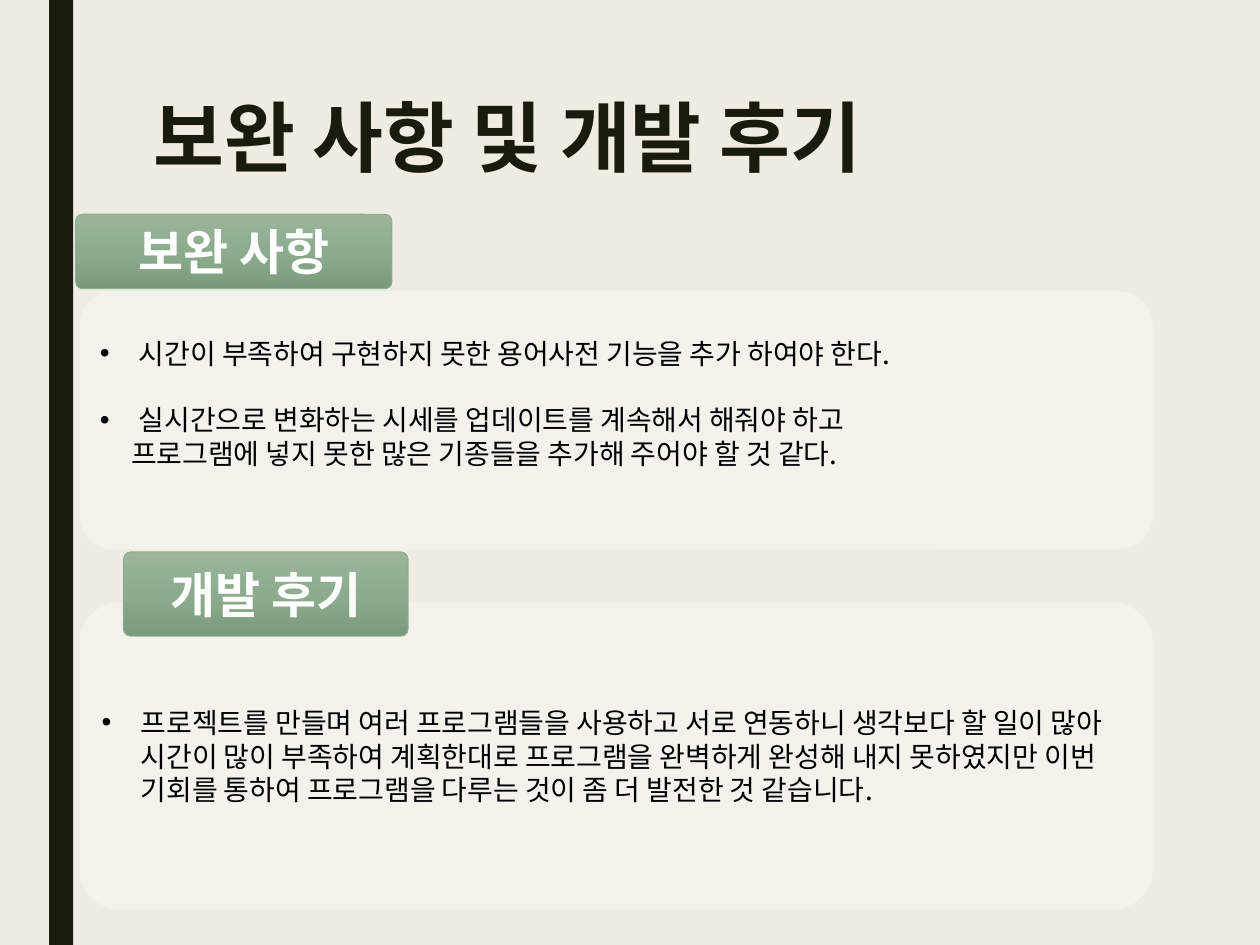
from copy import deepcopy

from pptx import Presentation
from pptx.dml.color import RGBColor
from pptx.enum.shapes import MSO_SHAPE
from pptx.enum.text import MSO_ANCHOR, PP_ALIGN
from pptx.oxml.ns import qn
from pptx.oxml.xmlchemy import OxmlElement
from pptx.util import Inches, Pt

RECT, ROUND = MSO_SHAPE.RECTANGLE, MSO_SHAPE.ROUNDED_RECTANGLE
TOP, MIDDLE = MSO_ANCHOR.TOP, MSO_ANCHOR.MIDDLE
LEFT, CENTER = PP_ALIGN.LEFT, PP_ALIGN.CENTER
FONT = "Noto Sans CJK KR"
BACK, DARK, WHITE, BLACK = "EFEDE3", "191B0E", "FFFFFF", "000000"
GREENS, GREEN_LINE = ("9BB59B", "8CAC8D", "7A9B7B"), "8DAB8E"
PANEL_LEFT, PANEL_WIDTH = 0.61, 8.56
BODY_SIZE, BODY_LINE, INDENT = 16, 19, 0.31


def rgb(value):
    """Turn a hex string into a colour."""
    return RGBColor.from_string(value)


def add_child(parent, tag, **attributes):
    """Append an XML element with the given attributes."""
    child = OxmlElement(tag)
    for name, value in attributes.items():
        child.set(name, str(value))
    parent.append(child)
    return child


def set_font(p, size, color, bold=False):
    """Set the paragraph's font for Latin and Korean text."""
    f = p.font
    f.size, f.bold, f.name = Pt(size), bold, FONT
    f.color.rgb = rgb(color)
    add_child(p._p.pPr.find(qn("a:defRPr")), "a:ea", typeface=FONT)


def add_box(s, kind, box, fill=None, line=None, width=0):
    """Add a shape without shadow, with an optional fill and outline."""
    sp = s.shapes.add_shape(kind, *(Inches(v) for v in box))
    sp.shadow.inherit = False
    if fill:
        sp.fill.solid()
        sp.fill.fore_color.rgb = rgb(fill)
    if line:
        sp.line.color.rgb = rgb(line)
        sp.line.width = Pt(width)
    else:
        sp.line.fill.background()
    return sp


def add_title(s, text):
    """Add the slide title."""
    tf = s.shapes.add_textbox(*(Inches(v) for v in (1.12, 0.75, 7.88, 1.62))).text_frame
    tf.word_wrap, tf.vertical_anchor = True, TOP
    p = tf.paragraphs[0]
    p.text, p.line_spacing = text, 0.89
    set_font(p, 44, DARK, True)


def add_label(s, box, text):
    """Add a green gradient heading label."""
    sp = add_box(s, ROUND, box, line=GREEN_LINE, width=0.5)
    sp.adjustments[0] = 0.09
    sp.fill.gradient()
    sp.fill.gradient_angle = 270
    stops = sp._element.spPr.find(qn("a:gradFill")).find(qn("a:gsLst"))
    stops.append(deepcopy(stops[-1]))
    for i, (stop, color) in enumerate(zip(sp.fill.gradient_stops, GREENS)):
        stop.position, stop.color.rgb = i / 2, rgb(color)
    tf = sp.text_frame
    tf.word_wrap, tf.vertical_anchor = False, MIDDLE
    p = tf.paragraphs[0]
    p.text, p.alignment = text, CENTER
    set_font(p, 28, WHITE, True)


def add_panel(s, top, height, items, bottom=0.05):
    """Add a translucent panel of (text, bulleted) paragraphs."""
    sp = add_box(s, ROUND, (PANEL_LEFT, top, PANEL_WIDTH, height), WHITE, BACK, 3)
    sp.adjustments[0] = 0.137
    fill = sp._element.spPr.find(qn("a:solidFill"))
    add_child(fill[0], "a:alpha", val=31000)
    tf = sp.text_frame
    tf.word_wrap, tf.vertical_anchor = True, MIDDLE
    tf.margin_bottom = Inches(bottom)
    for i, (text, bulleted) in enumerate(items):
        p = tf.add_paragraph() if i else tf.paragraphs[0]
        p.text, p.alignment = text, LEFT
        pPr = p._p.get_or_add_pPr()
        pPr.set("marL", str(Inches(INDENT if bulleted else 0.25)))
        if bulleted:
            pPr.set("indent", str(-Inches(INDENT)))
            if i:
                p.space_before = Pt(BODY_LINE)
            add_child(pPr, "a:buFont", typeface="Arial")
            add_child(pPr, "a:buChar", char="•")
        set_font(p, BODY_SIZE, BLACK)


def main():
    """Build and save the slide."""
    prs = Presentation()
    prs.slide_width, prs.slide_height = Inches(10), Inches(7.5)
    s = prs.slides.add_slide(prs.slide_layouts[6])
    s.background.fill.solid()
    s.background.fill.fore_color.rgb = rgb(BACK)
    add_box(s, RECT, (0.39, 0, 0.19, 7.5), DARK)
    add_title(s, "보완 사항 및 개발 후기")
    add_panel(s, 2.29, 2.09, [
        ("시간이 부족하여 구현하지 못한 용어사전 기능을 추가 하여야 한다.", True),
        ("실시간으로 변화하는 시세를 업데이트를 계속해서 해줘야 하고", True),
        ("프로그램에 넣지 못한 많은 기종들을 추가해 주어야 할 것 같다.", False),
    ], bottom=0.32)
    add_label(s, (0.6, 1.7, 2.51, 0.59), "보완 사항")
    add_panel(s, 4.76, 2.48, [
        ("프로젝트를 만들며 여러 프로그램들을 사용하고 서로 연동하니 생각보다 할 일이 많아 "
         "시간이 많이 부족하여 계획한대로 프로그램을 완벽하게 완성해 내지 못하였지만 이번 "
         "기회를 통하여 프로그램을 다루는 것이 좀 더 발전한 것 같습니다.", True),
    ])
    add_label(s, (0.98, 4.38, 2.26, 0.67), "개발 후기")
    prs.save("out.pptx")


if __name__ == "__main__":
    main()
